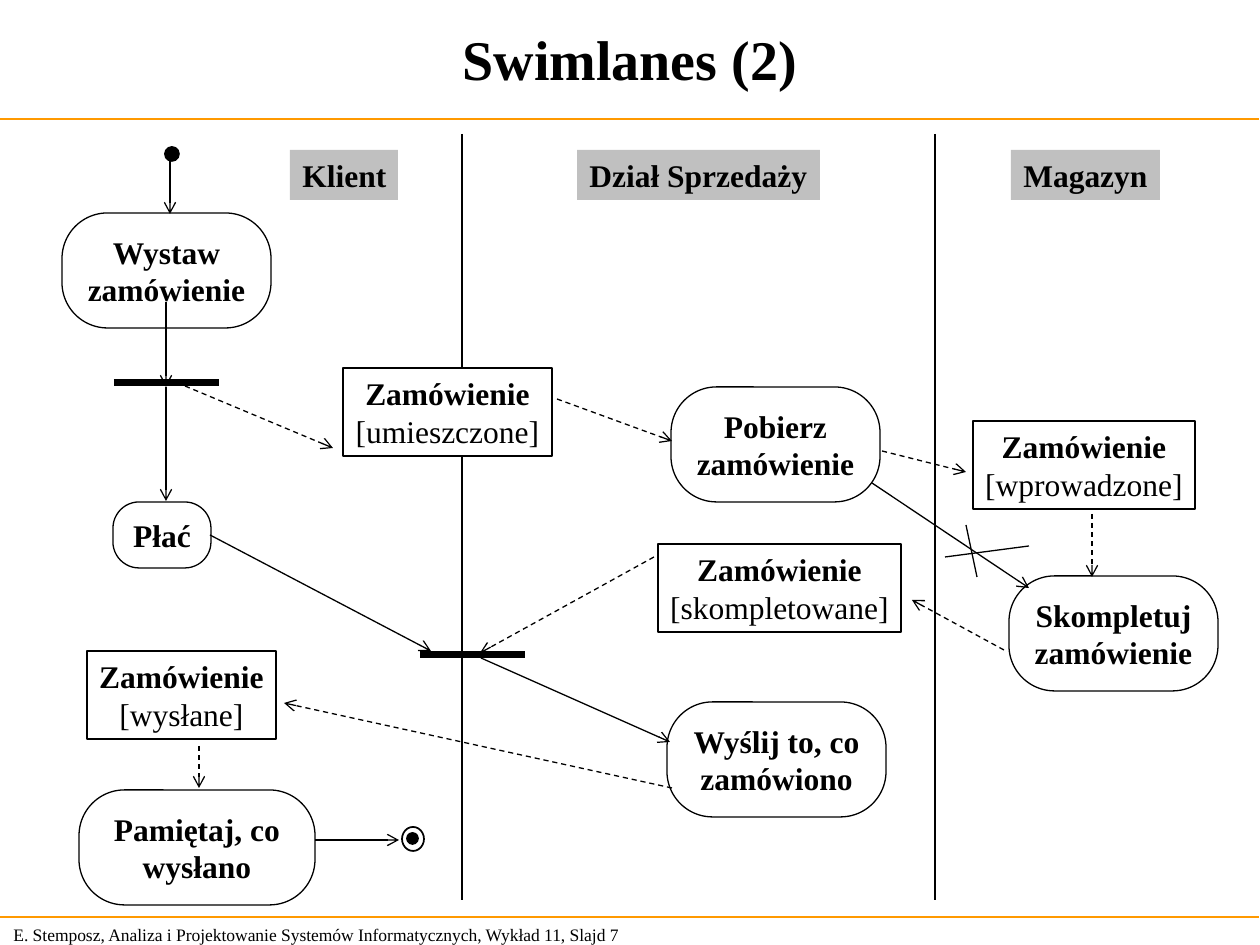
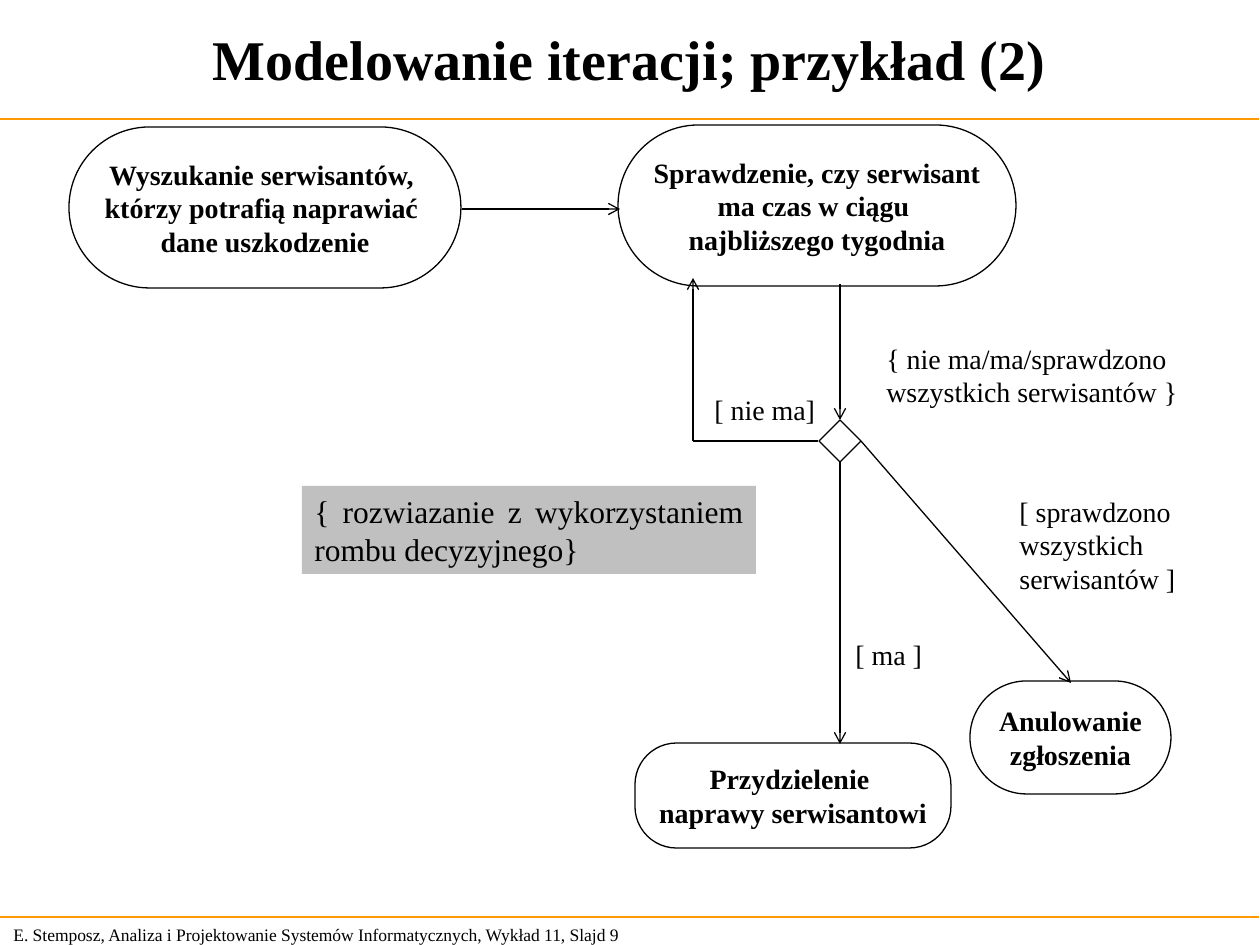
from collections import namedtuple
from dataclasses import dataclass

from lxml.etree import SubElement
from pptx import Presentation
from pptx.dml.color import RGBColor
from pptx.enum.dml import MSO_LINE
from pptx.enum.shapes import MSO_CONNECTOR, MSO_SHAPE
from pptx.enum.text import MSO_ANCHOR, MSO_AUTO_SIZE, PP_ALIGN
from pptx.oxml.ns import qn
from pptx.util import Emu, Pt

EMU_PER_PX = 914400 / 126


@dataclass(frozen=True)
class Theme:
    font: str = "Times New Roman"
    ink: RGBColor = RGBColor(0, 0, 0)
    paper: RGBColor = RGBColor(255, 255, 255)
    grey: RGBColor = RGBColor(192, 192, 192)
    orange: RGBColor = RGBColor(255, 153, 0)
    title: int = 32
    large: int = 18
    medium: int = 16
    footer: int = 10
    thin: float = 0.75
    outline: float = 1
    bar: float = 4


THEME = Theme()
Box = namedtuple("Box", "left top width height")
PAGE = Box(0, 0, 1260, 945)
BODY = Box(0, 120, 1260, 797)
FOOTER = "E. Stemposz, Analiza i Projektowanie Systemów Informatycznych, Wykład 11, Slajd {}"


def px(length):
    return Emu(round(length * EMU_PER_PX))


def inside(area, left, top, width, height):
    """Move a box from the coordinates of an area to those of the page."""
    return Box(area.left + left, area.top + top, width, height)


# Shared drawing helpers

def write(frame, text, size, bold=False, first_bold=False,
          align=PP_ALIGN.LEFT, anchor=MSO_ANCHOR.TOP, wrap=False):
    frame.text = text
    frame.word_wrap = wrap
    frame.auto_size = MSO_AUTO_SIZE.NONE
    frame.vertical_anchor = anchor
    for index, para in enumerate(frame.paragraphs):
        para.alignment = align
        para.font.name = THEME.font
        para.font.size = Pt(size)
        para.font.bold = bold or (first_bold and index == 0)
        para.font.color.rgb = THEME.ink


def add_figure(page, kind, box, fill=None, line=THEME.thin, corner=None):
    figure = page.shapes.add_shape(kind, *map(px, box))
    figure.shadow.inherit = False
    if fill is None:
        figure.fill.background()
    else:
        figure.fill.solid()
        figure.fill.fore_color.rgb = fill
    if line:
        figure.line.color.rgb = THEME.ink
        figure.line.width = Pt(line)
    else:
        figure.line.fill.background()
    if corner is not None:
        figure.adjustments[0] = corner
    return figure


def add_line(page, area, points, color=THEME.ink, width=THEME.thin,
             dashed=False, arrow=False):
    x1, y1, x2, y2 = points
    line = page.shapes.add_connector(
        MSO_CONNECTOR.STRAIGHT, px(area.left + x1), px(area.top + y1),
        px(area.left + x2), px(area.top + y2))
    line.line.color.rgb = color
    line.line.width = Pt(width)
    if dashed:
        line.line.dash_style = MSO_LINE.DASH
    if arrow:
        SubElement(line.line._get_or_add_ln(), qn("a:tailEnd"), type="arrow")
    SubElement(line._element.spPr, qn("a:effectLst"))


def add_activity(page, box, text, size, corner=0.396, fill=None):
    figure = add_figure(page, MSO_SHAPE.ROUNDED_RECTANGLE, box, fill, corner=corner)
    write(figure.text_frame, text, size, bold=True,
          align=PP_ALIGN.CENTER, anchor=MSO_ANCHOR.MIDDLE)


def add_object(page, box, state, fill=None):
    figure = add_figure(page, MSO_SHAPE.RECTANGLE, box, fill)
    write(figure.text_frame, f"Zamówienie\n[{state}]", THEME.large, first_bold=True,
          align=PP_ALIGN.CENTER, anchor=MSO_ANCHOR.MIDDLE)


def add_grey_label(page, box, text, **style):
    figure = add_figure(page, MSO_SHAPE.RECTANGLE, box, THEME.grey, line=None)
    write(figure.text_frame, text, THEME.large, **style)


def add_note(page, box, text):
    note = page.shapes.add_textbox(*map(px, box))
    write(note.text_frame, text, THEME.medium)


# Page frame: title, two rules, footer

def add_page(deck, title, title_box, number):
    page = deck.slides.add_slide(deck.slide_layouts[5])
    heading = page.shapes.title
    heading.left, heading.top, heading.width, heading.height = map(px, title_box)
    write(heading.text_frame, title, THEME.title, bold=True, wrap=True,
          align=PP_ALIGN.CENTER, anchor=MSO_ANCHOR.MIDDLE)
    for y in (119, 917):
        add_line(page, PAGE, (-1, y, 1259, y), THEME.orange)
    footer = page.shapes.add_textbox(*map(px, (1, 917, 660, 34)))
    write(footer.text_frame, FOOTER.format(number), THEME.footer,
          anchor=MSO_ANCHOR.MIDDLE, wrap=True)
    return page


# Swimlane diagram

def draw_lanes(page, area):
    for x in (462, 935):
        add_line(page, area, (x, 14, x, 780))
    for name, left, width in (("Klient", 290, 108), ("Dział Sprzedaży", 577, 243),
                              ("Magazyn", 1011, 149)):
        add_grey_label(page, inside(area, left, 30, width, 50), name, bold=True)


def draw_order_nodes(page, area):
    activities = (
        ("Pobierz\nzamówienie", 671, 267, 209, 115, None),
        ("Wyślij to, co\nzamówiono", 667, 582, 219, 115, None),
        ("Pamiętaj, co\nwysłano", 79, 670, 236, 115, None),
        ("Skompletuj\nzamówienie", 1009, 456, 209, 115, None),
        ("Płać", 113, 382, 98, 66, None),
        ("Wystaw\nzamówienie", 62, 93, 209, 115, THEME.paper),
    )
    for text, left, top, width, height, fill in activities:
        add_activity(page, inside(area, left, top, width, height), text,
                     THEME.large, fill=fill)
    objects = (
        ("wprowadzone", 973, 301, 222, None),
        ("skompletowane", 658, 424, 243, None),
        ("wysłane", 87, 531, 189, None),
        ("umieszczone", 343, 248, 209, THEME.paper),
    )
    for state, left, top, width, fill in objects:
        add_object(page, inside(area, left, top, width, 88), state, fill)


def draw_order_flows(page, area):
    control_flows = (
        (170, 37, 170, 94), (166, 182, 166, 267), (166, 267, 166, 381),
        (210, 415, 431, 531), (481, 538, 670, 622), (872, 363, 1029, 468),
        (315, 720, 399, 720),
    )
    object_flows = (
        (185, 266, 333, 328), (557, 279, 672, 321), (882, 331, 966, 352),
        (1092, 394, 1092, 457), (1004, 530, 912, 480), (654, 437, 480, 533),
        (199, 626, 199, 668), (672, 668, 284, 583),
    )
    for points in control_flows:
        add_line(page, area, points, arrow=True)
    for points in object_flows:
        add_line(page, area, points, dashed=True, arrow=True)
    # Synchronisation bars
    for left, y in ((114, 263), (420, 535)):
        add_line(page, area, (left, y, left + 105, y), width=THEME.bar)
    # Cross over the struck-out flow
    for points in ((966, 405, 977, 457), (945, 437, 1029, 426)):
        add_line(page, area, points)
    # Start and end markers
    for box, fill in (((165, 27, 14, 14), THEME.ink), ((402, 707, 22, 24), None),
                      ((407, 713, 11, 11), THEME.ink)):
        add_figure(page, MSO_SHAPE.OVAL, inside(area, *box), fill, THEME.outline)


# Iteration diagram

def draw_iteration(page, area):
    activities = (
        ("Wyszukanie serwisantów, \nktórzy potrafią naprawiać \ndane uszkodzenie",
         (69, 7, 392, 161), 0.5),
        ("Sprawdzenie, czy serwisant\nma czas w ciągu \nnajbliższego tygodnia",
         (618, 5, 398, 161), 0.5),
        ("Przydzielenie \nnaprawy serwisantowi", (635, 623, 316, 105), 0.396),
        ("Anulowanie\nzgłoszenia", (970, 561, 201, 113), 0.5),
    )
    for text, box, corner in activities:
        add_activity(page, inside(area, *box), text, THEME.medium, corner)
    add_figure(page, MSO_SHAPE.DIAMOND, inside(area, 819, 300, 42, 42))
    for points in ((462, 89, 620, 89), (840, 164, 840, 300), (840, 341, 840, 624),
                   (693, 321, 693, 158), (861, 321, 1071, 563)):
        add_line(page, area, points, arrow=True)
    add_line(page, area, (693, 321, 818, 321))
    # Guards and remarks
    notes = (
        ("{ nie ma/ma/sprawdzono\nwszystkich serwisantów }", (874, 215, 316, 81)),
        ("[ ma ]", (843, 511, 92, 47)),
        ("[ nie ma]", (702, 266, 126, 47)),
        ("[ sprawdzono\nwszystkich\nserwisantów ]", (1007, 368, 181, 113)),
    )
    for text, box in notes:
        add_note(page, inside(area, *box), text)
    add_grey_label(page, inside(area, 302, 366, 454, 88),
                   "{ rozwiazanie z wykorzystaniem rombu decyzyjnego}",
                   align=PP_ALIGN.JUSTIFY, wrap=True)


def main():
    deck = Presentation()
    deck.slide_width, deck.slide_height = px(PAGE.width), px(PAGE.height)

    page = add_page(deck, "Swimlanes (2)", Box(5, 5, 1250, 107), 7)
    draw_lanes(page, BODY)
    draw_order_nodes(page, BODY)
    draw_order_flows(page, BODY)

    page = add_page(deck, "Modelowanie iteracji; przykład (2)", Box(0, 0, 1259, 116), 9)
    draw_iteration(page, BODY)

    deck.save("out.pptx")


if __name__ == "__main__":
    main()
